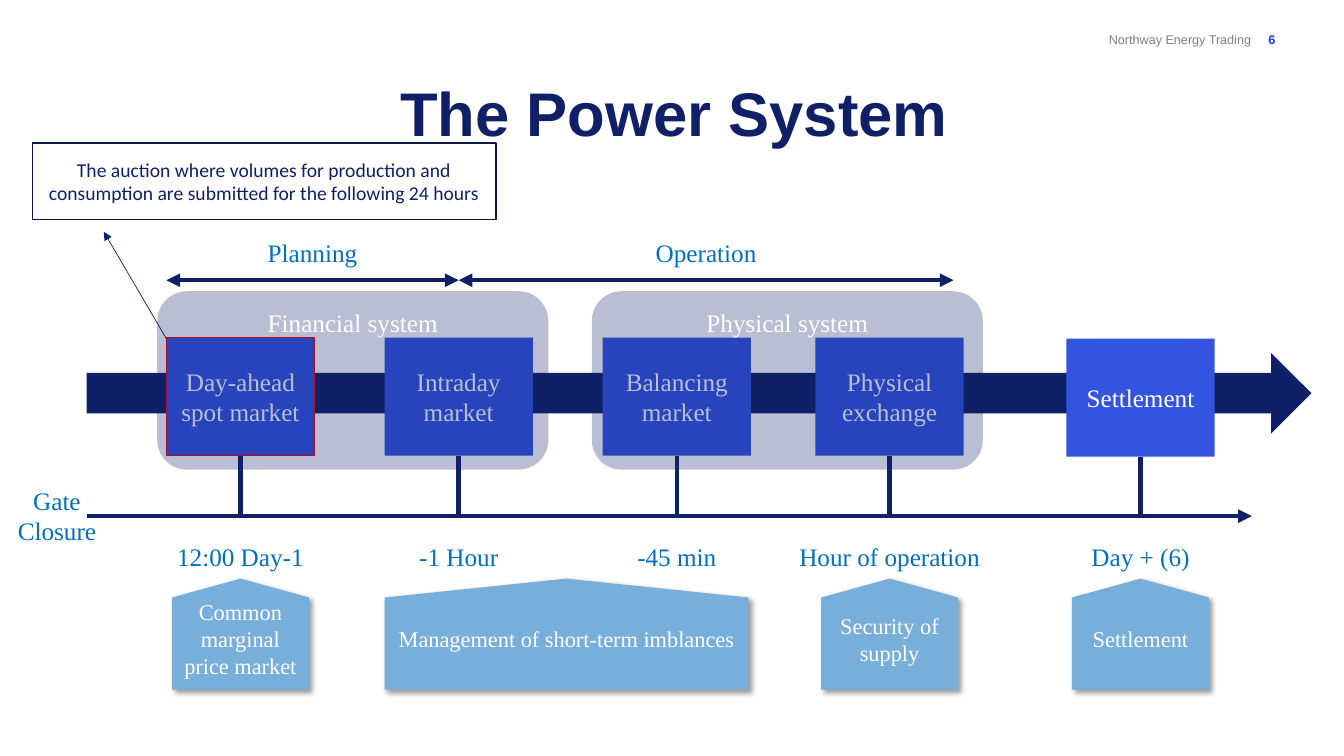
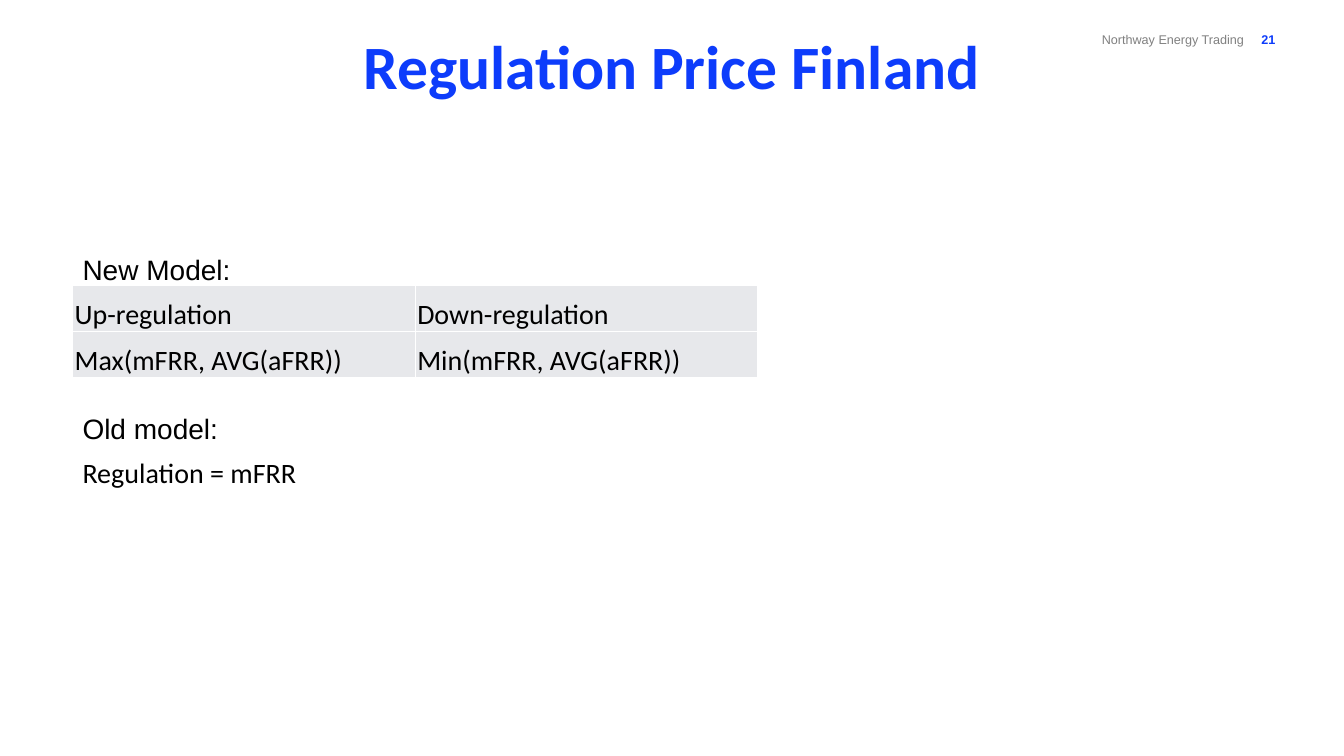
from dataclasses import dataclass
from typing import Any, NamedTuple

from lxml.etree import SubElement
from pptx import Presentation
from pptx.dml.color import RGBColor
from pptx.enum.shapes import MSO_CONNECTOR, MSO_SHAPE
from pptx.enum.text import MSO_ANCHOR, PP_ALIGN
from pptx.oxml import parse_xml
from pptx.oxml.ns import nsdecls, qn
from pptx.util import Emu, Inches, Pt

WIDTH, HEIGHT = Inches(13.333), Inches(7.5)
COLORS = {
    "navy": "0F2067", "ink": "0B184C", "royal": "3254E1", "bright": "0D3CFB",
    "azure": "0070C0", "sky": "78AEDA", "red": "FF0000", "gray": "808080",
    "pale": "E7E8EB", "white": "FFFFFF", "black": "000000",
}
FOOTER = "Northway Energy Trading"
SERIF, SANS, HUMANIST = "Times New Roman", "Arial", "Calibri"
STAGE_WIDTH, STAGE_HEIGHT, STAGE_TOP = 11.03, 15.6, 44.67
LABEL_HEIGHT, DATE_WIDTH = 5.6, 15.6
STEM_END, TIMELINE_Y, SPAN_Y = 68.53, 68.27, 37.07


class Area(NamedTuple):
    left: float
    top: float
    width: float
    height: float


@dataclass(frozen=True)
class TextStyle:
    size: float
    color: str
    font: str = SERIF
    bold: bool = False
    align: Any = PP_ALIGN.CENTER
    anchor: Any = MSO_ANCHOR.MIDDLE
    spacing: float = 1.0


@dataclass(frozen=True)
class Stage:
    name: str
    center: float
    gate: str
    top: float = STAGE_TOP
    outline: str | None = None


class Purpose(NamedTuple):
    text: str
    center: float
    width: float = 10.2


class Span(NamedTuple):
    name: str
    start: float
    end: float


class System(NamedTuple):
    name: str
    left: float


LABEL = TextStyle(18, "azure")
ON_BLUE = TextStyle(18, "white")
PURPOSE = TextStyle(16, "white")
CALLOUT = TextStyle(14, "navy", HUMANIST)
TITLE = TextStyle(44, "navy", SANS, True, anchor=MSO_ANCHOR.TOP, spacing=0.9)
PRICE_TITLE = TextStyle(44, "bright", HUMANIST, True, spacing=0.9)
COMPANY = TextStyle(9, "gray", SANS, align=PP_ALIGN.RIGHT, anchor=MSO_ANCHOR.TOP)
PAGE = TextStyle(9, "bright", SANS, True, PP_ALIGN.RIGHT, MSO_ANCHOR.TOP)
MODEL = TextStyle(20, "black", SANS, align=PP_ALIGN.LEFT, anchor=MSO_ANCHOR.TOP, spacing=0.9)
FORMULA = TextStyle(20, "black", HUMANIST, align=PP_ALIGN.LEFT, spacing=0.9)
CELL = TextStyle(20, "black", HUMANIST, align=PP_ALIGN.LEFT, anchor=MSO_ANCHOR.BOTTOM)

STAGES = [
    Stage("Day-ahead spot market", 17.89, "12:00 Day-1", outline="red"),
    Stage("Intraday market", 34.13, "-1 Hour"),
    Stage("Balancing market", 50.36, "-45 min"),
    Stage("Physical exchange", 66.19, "Hour of operation"),
    Stage("Settlement", 84.86, "Day + (6)", top=44.8),
]
PURPOSES = [
    Purpose("Common marginal price market", STAGES[0].center),
    Purpose("Management of short-term imblances", 42.15, 27.08),
    Purpose("Security of supply", STAGES[3].center),
    Purpose("Settlement", STAGES[4].center),
]
SPANS = [
    Span("Planning", 12.38, STAGES[1].center),
    Span("Operation", STAGES[1].center, 70.95),
]
SYSTEMS = [System("Physical system", 44.03), System("Financial system", 11.7)]
PRICES = [
    ["Up-regulation", "Down-regulation"],
    ["Max(mFRR, AVG(aFRR))", "Min(mFRR, AVG(aFRR))"],
]


def across(share: float) -> Emu:
    return Emu(round(WIDTH * share / 100))


def down(share: float) -> Emu:
    return Emu(round(HEIGHT * share / 100))


def place(area: Area) -> tuple[Emu, Emu, Emu, Emu]:
    return across(area.left), down(area.top), across(area.width), down(area.height)


def rgb(name: str) -> RGBColor:
    return RGBColor.from_string(COLORS[name])


def assign(target: Any, formats: dict[str, Any]) -> None:
    for attribute, value in formats.items():
        setattr(target, attribute, value)


def format_paragraph(paragraph: Any, style: TextStyle, before: float = 0) -> None:
    assign(paragraph, {"alignment": style.align, "line_spacing": style.spacing,
                       "space_before": Pt(before)})
    for run in paragraph.runs:
        assign(run.font, {"name": style.font, "size": Pt(style.size), "bold": style.bold})
        run.font.color.rgb = rgb(style.color)


def write(frame: Any, text: str, style: TextStyle) -> None:
    assign(frame, {"word_wrap": True, "vertical_anchor": style.anchor, "text": text})
    format_paragraph(frame.paragraphs[0], style)


def add_text(slide: Any, area: Area, text: str, style: TextStyle) -> Any:
    box = slide.shapes.add_textbox(*place(area))
    write(box.text_frame, text, style)
    return box


def add_block(slide: Any, preset: Any, area: Area, fill: str | None,
              outline: str | None = None) -> Any:
    block = slide.shapes.add_shape(preset, *place(area))
    block.shadow.inherit = False
    if fill:
        block.fill.solid()
        block.fill.fore_color.rgb = rgb(fill)
    else:
        block.fill.background()
    if outline:
        block.line.color.rgb = rgb(outline)
        block.line.width = Pt(1)
    else:
        block.line.fill.background()
    return block


def add_line(slide: Any, start: tuple[float, float], end: tuple[float, float],
             weight: float = 3.25, arrows: tuple[str, ...] = ()) -> Any:
    line = slide.shapes.add_connector(
        MSO_CONNECTOR.STRAIGHT, across(start[0]), down(start[1]), across(end[0]), down(end[1]))
    line.line.color.rgb = rgb("navy")
    line.line.width = Pt(weight)
    outline = line.element.spPr.find(qn("a:ln"))
    for arrow in arrows:
        SubElement(outline, qn(f"a:{arrow}"), type="triangle")
    SubElement(line.element.spPr, qn("a:effectLst"))
    return line


def add_footer(slide: Any, page: int) -> None:
    digits = str(page)
    company_right = 93.6 - 0.53 * len(digits)
    add_text(slide, Area(45.6, 3.6, company_right - 44.85, 3.33), FOOTER, COMPANY)
    add_text(slide, Area(91.6, 3.6, 4.03, 3.33), digits, PAGE)


def add_stage(slide: Any, stage: Stage) -> None:
    area = Area(stage.center - STAGE_WIDTH / 2, stage.top, STAGE_WIDTH, STAGE_HEIGHT)
    market = add_block(slide, MSO_SHAPE.RECTANGLE, area, "royal", stage.outline)
    write(market.text_frame, stage.name, ON_BLUE)
    stem = add_line(slide, (stage.center, stage.top + STAGE_HEIGHT), (stage.center, STEM_END))
    stem.begin_connect(market, 2)
    add_text(slide, Area(stage.center - DATE_WIDTH / 2, 70.8, DATE_WIDTH, LABEL_HEIGHT),
             stage.gate, LABEL)


def add_span(slide: Any, span: Span) -> None:
    add_line(slide, (span.start, SPAN_Y), (span.end, SPAN_Y), arrows=("headEnd", "tailEnd"))
    add_text(slide, Area(span.start, 30.6, span.end - span.start, LABEL_HEIGHT),
             span.name, LABEL)


def add_system(slide: Any, system: System) -> None:
    group = add_block(slide, MSO_SHAPE.ROUNDED_RECTANGLE,
                      Area(system.left, 38.53, 29.1, 23.6), "navy")
    tint = group.element.spPr.find(qn("a:solidFill"))[0]
    SubElement(tint, qn("a:alpha"), val="29000")
    write(group.text_frame, system.name, ON_BLUE)
    assign(group.text_frame, {"vertical_anchor": MSO_ANCHOR.TOP, "margin_top": Inches(0.07)})


def add_purpose(slide: Any, purpose: Purpose) -> None:
    house = add_block(slide, MSO_SHAPE.PENTAGON, Area(0, 0, 1, 1), "sky")
    length, breadth = down(14.67), across(purpose.width)
    assign(house, {"width": length, "height": breadth, "rotation": 270,
                   "left": across(purpose.center) - length // 2,
                   "top": down(83.87) - breadth // 2})
    house.adjustments[0] = 0.17
    write(house.text_frame, purpose.text, PURPOSE)
    house.element.txBody.find(qn("a:bodyPr")).set("vert", "vert")
    house.element.spPr.find(qn("a:effectLst")).append(parse_xml(
        f'<a:outerShdw {nsdecls("a")} blurRad="{int(Pt(4))}" dist="{int(Pt(3))}" '
        'dir="2700000" algn="tl" rotWithShape="0"><a:srgbClr val="000000">'
        '<a:alpha val="40000"/></a:srgbClr></a:outerShdw>'))


def add_price_table(slide: Any) -> None:
    table = slide.shapes.add_table(2, 2, *place(Area(5.4, 37.73, 51, 12.27))).table
    assign(table, {"first_row": False, "horz_banding": False})
    for row, prices in enumerate(PRICES):
        for column, price in enumerate(prices):
            cell = table.cell(row, column)
            write(cell.text_frame, price, CELL)
            assign(cell, {"vertical_anchor": CELL.anchor, "margin_left": Inches(0.02),
                          "margin_right": Inches(0.02), "margin_top": Inches(0.02),
                          "margin_bottom": 0})
            cell.fill.solid()
            cell.fill.fore_color.rgb = rgb("pale")
            for position, side in enumerate("LRTB"):
                cell._tc.get_or_add_tcPr().insert(position, parse_xml(
                    f'<a:ln{side} {nsdecls("a")} w="{int(Pt(1))}"><a:solidFill>'
                    f'<a:srgbClr val="{COLORS["white"]}"/></a:solidFill></a:ln{side}>'))


def build_power_system(slide: Any) -> None:
    add_footer(slide, 6)
    add_text(slide, Area(5.4, 10.4, 89.55, 19.33), "The Power System", TITLE)
    add_block(slide, MSO_SHAPE.RIGHT_ARROW, Area(6.45, 46.67, 91.13, 10.67), "navy")
    add_line(slide, (6.45, TIMELINE_Y), (93.15, TIMELINE_Y), arrows=("tailEnd",))
    for stage in STAGES:
        add_stage(slide, stage)
    for span in SPANS:
        add_span(slide, span)
    for system in SYSTEMS:
        add_system(slide, system)
    for purpose in PURPOSES:
        add_purpose(slide, purpose)
    add_text(slide, Area(0, 60.4, 8.48, 15.6), "Gate Closure", LABEL)
    add_line(slide, (12.38, 44.8), (7.73, 30.67), 0.5, ("tailEnd",))
    auction = add_block(slide, MSO_SHAPE.RECTANGLE, Area(2.4, 18.93, 34.5, 10.13), None, "ink")
    write(auction.text_frame, "The auction where volumes for production and consumption "
          "are submitted for the following 24 hours", CALLOUT)


def build_regulation_price(slide: Any) -> None:
    add_footer(slide, 21)
    models = add_text(slide, Area(5.4, 33.2, 89.55, 55.6), "New Model:", MODEL).text_frame
    for text, style, before in (("Old model:", MODEL, 92), ("Regulation = mFRR", FORMULA, 10)):
        paragraph = models.add_paragraph()
        paragraph.text = text
        format_paragraph(paragraph, style, before)
    add_text(slide, Area(0, 5.73, 100, 6.93), "Regulation Price Finland", PRICE_TITLE)
    add_price_table(slide)


def main() -> None:
    deck = Presentation()
    assign(deck, {"slide_width": WIDTH, "slide_height": HEIGHT})
    for build in (build_power_system, build_regulation_price):
        build(deck.slides.add_slide(deck.slide_layouts[6]))
    deck.save("out.pptx")


if __name__ == "__main__":
    main()
